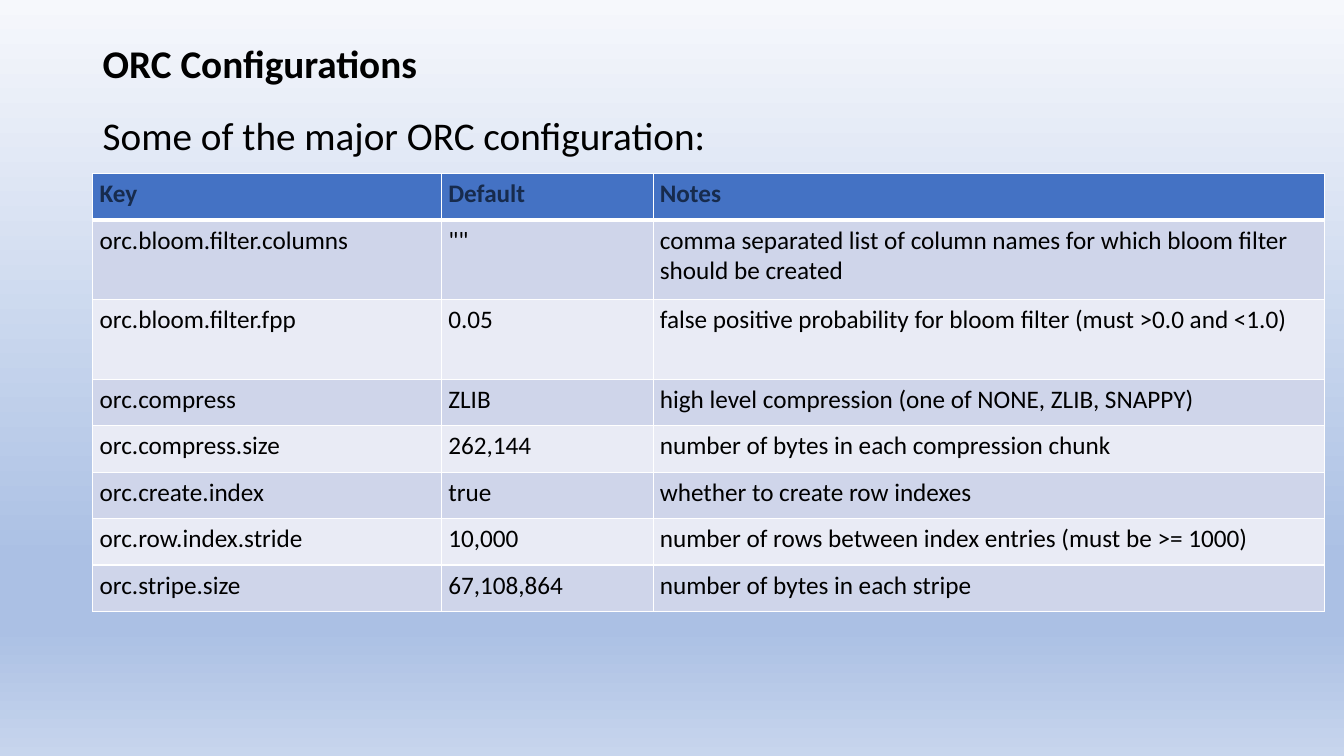
from dataclasses import dataclass

import pptx
import pptx.dml.color
import pptx.enum.text
import pptx.oxml
import pptx.oxml.ns
import pptx.util
from pptx.util import Cm, Pt

FONT = "Calibri"
BLACK, WHITE, NAVY = "000000", "FFFFFF", "172B4D"
HEADER_FILL = "4472C4"
BAND_FILLS = ("CFD5EA", "E9EBF5")
BACKGROUND_STOPS = ((0, "F6F8FC"), (74, "ABC0E4"), (83, "ABC0E4"), (100, "C7D5ED"))
LEFT = 2.34
TABLE_TOP = 4.37
COLUMN_WIDTHS = (8.79, 5.33, 16.92)
ROW_HEIGHT, TALL_ROW_HEIGHT = 1.17, 2.01


@dataclass(frozen=True)
class TextBlock:
    text: str
    top: float
    height: float
    bold: bool
    anchor: pptx.enum.text.MSO_ANCHOR


@dataclass(frozen=True)
class ConfigRow:
    key: str
    default: str
    notes: str
    height: float = ROW_HEIGHT


TEXT_BLOCKS = (
    TextBlock("ORC Configurations", 1.02, 1.27, True, pptx.enum.text.MSO_ANCHOR.MIDDLE),
    TextBlock("Some of the major ORC configuration:", 2.82, 14.33, False,
              pptx.enum.text.MSO_ANCHOR.TOP),
)
CONFIG_ROWS = (
    ConfigRow("Key", "Default", "Notes"),
    ConfigRow("orc.bloom.filter.columns", '""',
              "comma separated list of column names for which bloom filter should be created",
              TALL_ROW_HEIGHT),
    ConfigRow("orc.bloom.filter.fpp", "0.05",
              "false positive probability for bloom filter (must >0.0 and <1.0)",
              TALL_ROW_HEIGHT),
    ConfigRow("orc.compress", "ZLIB", "high level compression (one of NONE, ZLIB, SNAPPY)"),
    ConfigRow("orc.compress.size", "262,144", "number of bytes in each compression chunk"),
    ConfigRow("orc.create.index", "true", "whether to create row indexes"),
    ConfigRow("orc.row.index.stride", "10,000",
              "number of rows between index entries (must be >= 1000)"),
    ConfigRow("orc.stripe.size", "67,108,864", "number of bytes in each stripe"),
)


def rgb(color: str) -> pptx.dml.color.RGBColor:
    return pptx.dml.color.RGBColor.from_string(color)


def apply_format(target, values: dict) -> None:
    for name, value in values.items():
        setattr(target, name, value)


def format_font(font, size: float, color: str, bold: bool) -> None:
    apply_format(font, {"name": FONT, "size": Pt(size), "bold": bold})
    font.color.rgb = rgb(color)


def parse_drawing(xml: str):
    """Parse one DrawingML element written with the a: prefix."""
    return pptx.oxml.parse_xml(xml.replace(" ", f" {pptx.oxml.ns.nsdecls('a')} ", 1))


def paint_background(slide) -> None:
    slide.background.fill.gradient()
    gradient = slide.element.xpath(".//p:bg//a:gradFill")[0]
    stops = gradient.find(pptx.oxml.ns.qn("a:gsLst"))
    for stop in list(stops):
        stops.remove(stop)
    for position, color in BACKGROUND_STOPS:
        stops.append(parse_drawing(
            f'<a:gs pos="{position * 1000}"><a:srgbClr val="{color}"/></a:gs>'))
    gradient.find(pptx.oxml.ns.qn("a:lin")).set("ang", "5400000")


def add_text(slide, block: TextBlock) -> None:
    shape = slide.shapes.add_textbox(Cm(LEFT), Cm(block.top), Cm(29.21), Cm(block.height))
    apply_format(shape.text_frame, {"word_wrap": True, "vertical_anchor": block.anchor})
    paragraph = shape.text_frame.paragraphs[0]
    paragraph.text = block.text
    paragraph.line_spacing = 0.9
    format_font(paragraph.font, 28, BLACK, block.bold)


def set_borders(cell, top: float, bottom: float) -> None:
    properties = cell._tc.get_or_add_tcPr()
    for index, (side, width) in enumerate((("L", 1), ("R", 1), ("T", top), ("B", bottom))):
        properties.insert(index, parse_drawing(
            f'<a:ln{side} w="{Pt(width)}"><a:solidFill><a:srgbClr val="{WHITE}"/>'
            f'</a:solidFill></a:ln{side}>'))


def add_config_table(slide) -> None:
    table = slide.shapes.add_table(
        len(CONFIG_ROWS), len(COLUMN_WIDTHS), Cm(LEFT), Cm(TABLE_TOP),
        Cm(sum(COLUMN_WIDTHS)), Cm(sum(row.height for row in CONFIG_ROWS))).table
    for column, width in zip(table.columns, COLUMN_WIDTHS):
        column.width = Cm(width)
    for index, row in enumerate(CONFIG_ROWS):
        table.rows[index].height = Cm(row.height)
        header = index == 0
        fill = HEADER_FILL if header else BAND_FILLS[(index - 1) % 2]
        for cell, text in zip(table.rows[index].cells, (row.key, row.default, row.notes)):
            apply_format(cell, {
                "text": text, "margin_left": Cm(0.17),
                "margin_right": Cm(0.25 if header else 0.17),
                "margin_top": Cm(0.13), "margin_bottom": Cm(0.13)})
            format_font(cell.text_frame.paragraphs[0].font, 18,
                        NAVY if header else BLACK, header)
            cell.fill.solid()
            cell.fill.fore_color.rgb = rgb(fill)
            set_borders(cell, 3 if index == 1 else 1, 3 if header else 1)


def main() -> None:
    presentation = pptx.Presentation()
    apply_format(presentation, {"slide_width": Cm(33.87), "slide_height": Cm(19.05)})
    slide = presentation.slides.add_slide(presentation.slide_layouts[6])
    paint_background(slide)
    for block in TEXT_BLOCKS:
        add_text(slide, block)
    add_config_table(slide)
    presentation.save("out.pptx")


if __name__ == "__main__":
    main()
